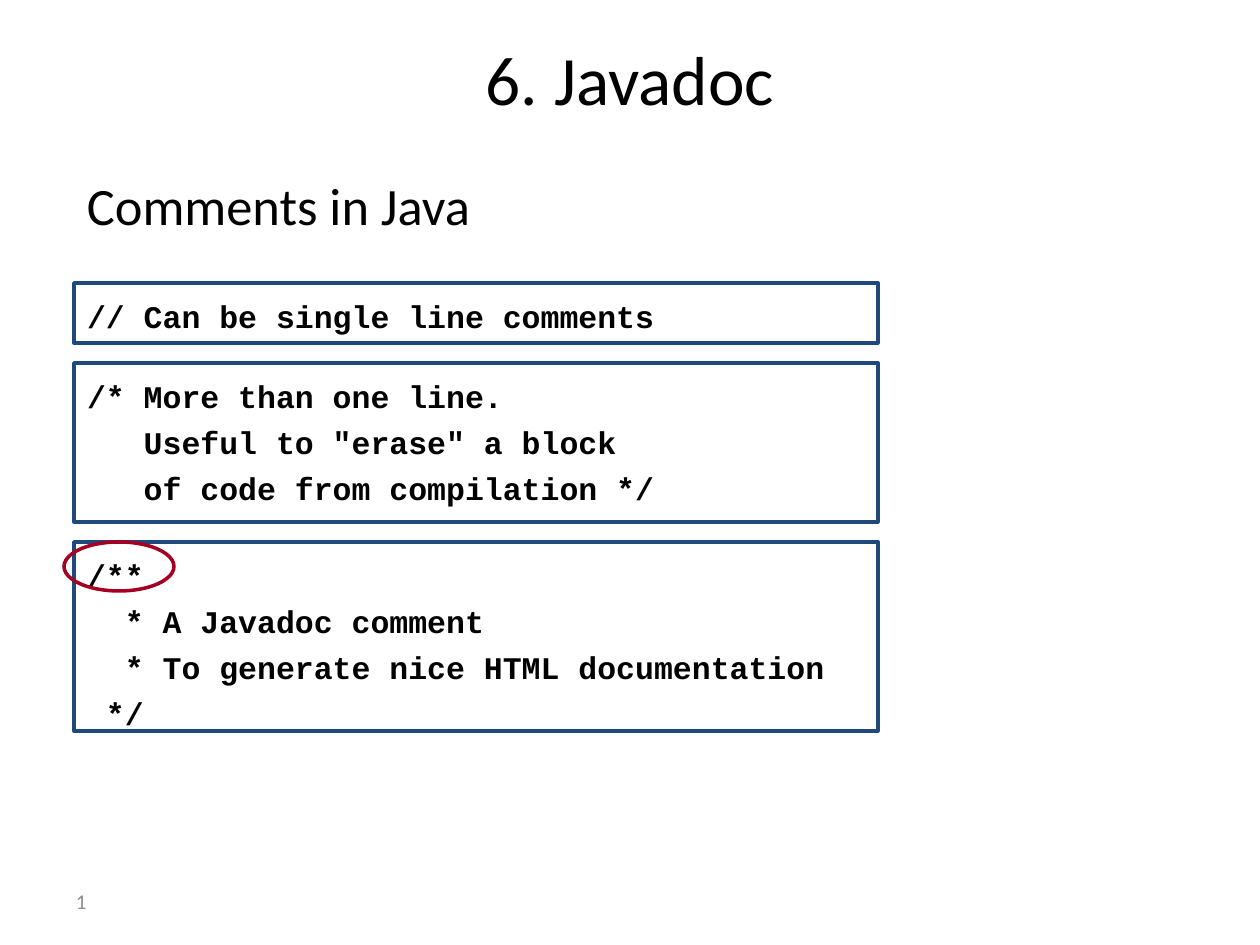
"""Build a slide on the kinds of comments in Java."""
from pptx import Presentation
from pptx.dml.color import RGBColor
from pptx.enum.shapes import MSO_SHAPE as Shape
from pptx.enum.text import MSO_ANCHOR as Anchor, PP_ALIGN as Align
from pptx.util import Pt

PX = 914400 // 126
COLORS = {"text": "000000", "number": "8C8C8C", "frame": "1F497D", "mark": "A50021"}
BLOCKS = [
    (60, ["// Can be single line comments"]),
    (159, ["/* More than one line.",
           '   Useful to "erase" a block',
           "   of code from compilation */"]),
    (189, ["/**",
           "  * A Javadoc comment",
           "  * To generate nice HTML documentation",
           " */"]),
]


def write(tf, lines, size, font="Calibri", color="text", bold=False,
          align=Align.LEFT, anchor=Anchor.TOP, top=6, gap=0):
    tf.word_wrap = True
    tf.vertical_anchor = anchor
    tf.margin_left = tf.margin_right = 13 * PX
    tf.margin_top, tf.margin_bottom = top * PX, 6 * PX
    for i, line in enumerate(lines):
        p = tf.add_paragraph() if i else tf.paragraphs[0]
        p.alignment = align
        p.space_before = Pt(gap if i else 0)
        r = p.add_run()
        r.text = line
        r.font.size, r.font.name, r.font.bold = Pt(size), font, bold
        r.font.color.rgb = RGBColor.from_string(COLORS[color])


class Deck:
    def __init__(self, width, height):
        self.prs = Presentation()
        self.prs.slide_width, self.prs.slide_height = width * PX, height * PX
        self.s = self.prs.slides.add_slide(self.prs.slide_layouts[6])

    def text(self, x, y, w, h, line, size, **style):
        sp = self.s.shapes.add_textbox(x * PX, y * PX, w * PX, h * PX)
        write(sp.text_frame, [line], size, **style)

    def outline(self, kind, x, y, w, h, color):
        sp = self.s.shapes.add_shape(kind, x * PX, y * PX, w * PX, h * PX)
        sp.shadow.inherit = False
        sp.fill.background()
        sp.line.color.rgb = RGBColor.from_string(COLORS[color])
        sp.line.width = Pt(2)
        return sp

    def code(self, x, y, w, h, lines):
        sp = self.outline(Shape.RECTANGLE, x, y, w, h, "frame")
        write(sp.text_frame, lines, 18, font="Courier New", bold=True, top=14, gap=4.75)


def main():
    deck = Deck(1260, 945)
    deck.text(63, 876, 294, 50, "1", 12, color="number", anchor=Anchor.MIDDLE)
    deck.text(63, 36, 1134, 158, "6. Javadoc", 39.6, align=Align.CENTER, top=0)
    deck.text(74, 165, 1152, 159, "Comments in Java", 30, top=8)
    y = 283
    for height, lines in BLOCKS:
        deck.code(74, y, 804, height, lines)
        y += height + 20
    deck.outline(Shape.OVAL, 64, 542, 110, 49, "mark")
    deck.prs.save("out.pptx")


if __name__ == "__main__":
    main()
